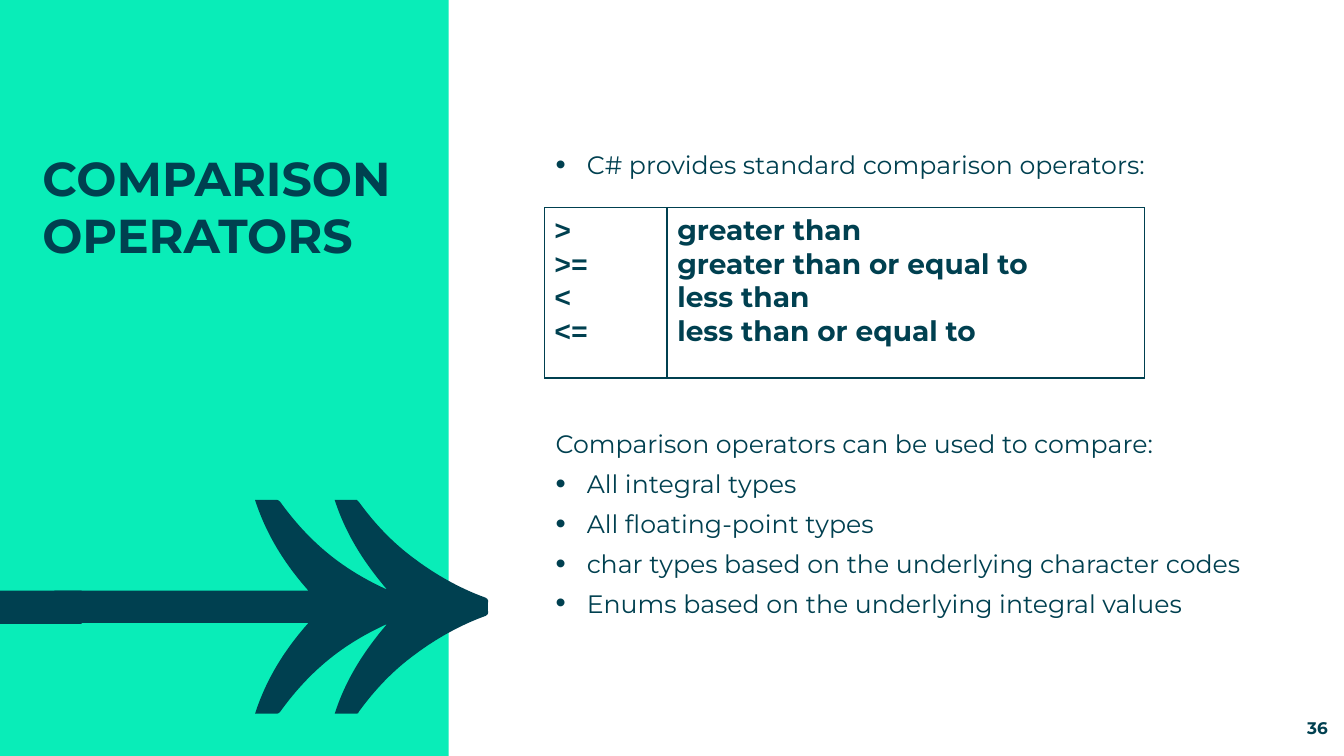
"""Build the slide on C# comparison operators."""
from lxml.etree import SubElement
from pptx import Presentation
from pptx.dml.color import RGBColor
from pptx.enum.shapes import MSO_SHAPE
from pptx.enum.text import MSO_ANCHOR, MSO_AUTO_SIZE, PP_ALIGN
from pptx.oxml.ns import qn
from pptx.util import Inches, Pt

COLORS = {"mint": "09EDB8", "teal": "004050", "white": "FFFFFF"}
FONT = "Montserrat"


def paint(shape, fill, line=None):
    shape.shadow.inherit = False
    shape.fill.solid()
    shape.fill.fore_color.rgb = RGBColor.from_string(COLORS[fill])
    if line:
        shape.line.color.rgb = RGBColor.from_string(COLORS[line])
        shape.line.width = Pt(1)
    else:
        shape.line.fill.background()


def format_text(shape, size, bold, font=FONT, margins=(0, 0), anchor=MSO_ANCHOR.TOP,
                align=PP_ALIGN.LEFT):
    frame = shape.text_frame
    frame.word_wrap = True
    frame.auto_size = MSO_AUTO_SIZE.NONE
    frame.vertical_anchor = anchor
    frame.margin_left = frame.margin_right = Inches(margins[0])
    frame.margin_top = frame.margin_bottom = Inches(margins[1])
    for paragraph in frame.paragraphs:
        paragraph.alignment = align
        for run in paragraph.runs:
            run.font.name = font
            run.font.size = Pt(size)
            run.font.bold = bold
            run.font.color.rgb = RGBColor.from_string(COLORS["teal"])


presentation = Presentation()
presentation.slide_width = Inches(13.33)
presentation.slide_height = Inches(7.5)
slide = presentation.slides.add_slide(presentation.slide_layouts[1])
shapes = slide.shapes
title, body = slide.placeholders

for left, top, width, height in [(0, 0, 4.45, 7.5), (0.83, 0.84, 0.42, 0.12)]:
    panel = shapes.add_shape(MSO_SHAPE.RECTANGLE, Inches(left), Inches(top),
                             Inches(width), Inches(height))
    paint(panel, "mint")

arrow_left, arrow_top, arrow_right, arrow_axis = 0.54, 4.96, 4.84, 6.02
arrow_bottom = 2 * arrow_axis - arrow_top
upper_curves = [
    [(3.06, 5.86), (2.82, 5.59), (2.64, 5.3), (2.53, 4.96)],
    [(2.75, 4.96), (2.76, 4.96), (2.77, 4.97), (2.78, 4.98)],
    [(2.78, 4.98), (2.91, 5.16), (3.06, 5.33), (3.24, 5.48)],
    [(3.24, 5.48), (3.42, 5.63), (3.62, 5.75), (3.84, 5.85)],
    [(3.84, 5.85), (3.61, 5.58), (3.43, 5.3), (3.32, 4.96)],
    [(3.54, 4.96), (3.55, 4.96), (3.56, 4.97), (3.56, 4.98)],
    [(3.56, 4.98), (3.72, 5.2), (3.9, 5.39), (4.12, 5.55)],
    [(4.12, 5.55), (4.32, 5.7), (4.55, 5.83), (4.79, 5.92)],
    [(4.79, 5.92), (4.83, 5.93), (4.85, 5.95), (4.84, 5.98)],
]
lower_curves = [[(x, 2 * arrow_axis - y) for x, y in reversed(curve)]
                for curve in reversed(upper_curves)]
segments = [("moveTo", [(arrow_left, 5.86)])]
for curve in upper_curves + lower_curves:
    if segments[-1][1][-1] != curve[0]:
        segments.append(("lnTo", curve[:1]))
    segments.append(("cubicBezTo", curve[1:]))
segments += [("lnTo", [(arrow_left, 6.18)]), ("close", [])]

builder = shapes.build_freeform(Inches(arrow_left), Inches(arrow_top))
builder.add_line_segments([(Inches(arrow_right), Inches(arrow_top)),
                           (Inches(arrow_right), Inches(arrow_bottom)),
                           (Inches(arrow_left), Inches(arrow_bottom))])
arrow = builder.convert_to_shape()
paint(arrow, "teal")
outline = next(arrow._element.iter(qn("a:path")))
for child in list(outline):
    outline.remove(child)
for command, points in segments:
    segment = SubElement(outline, qn(f"a:{command}"))
    for x, y in points:
        SubElement(segment, qn("a:pt"), x=str(Inches(x - arrow_left)),
                   y=str(Inches(y - arrow_top)))

shaft = shapes.add_shape(MSO_SHAPE.RECTANGLE, 0, Inches(5.86), Inches(0.81), Inches(0.33))
paint(shaft, "teal")

title.left, title.top, title.width, title.height = map(Inches, (0.42, 1.48, 3.77, 3.01))
title.text_frame.text = "COMPARISON OPERATORS"
format_text(title, 34, True)
shapes._spTree.append(title._element)

page_number = shapes.add_textbox(Inches(12.31), Inches(7.12), Inches(0.86), Inches(0.2))
page_number.text_frame.text = "36"
format_text(page_number, 12, True, anchor=MSO_ANCHOR.BOTTOM, align=PP_ALIGN.RIGHT)

intro = "Comparison operators can be used to compare:"
body.left, body.top, body.width, body.height = map(Inches, (5.51, 1.48, 7.4, 5.6))
body.text_frame.text = "\n".join([
    "C# provides standard comparison operators:",
    intro,
    "All integral types",
    "All floating-point types",
    "char types based on the underlying character codes",
    "Enums based on the underlying integral values",
])
format_text(body, 18, False)
for paragraph in body.text_frame.paragraphs:
    is_intro = paragraph.text == intro
    paragraph.line_spacing = Pt(22)
    paragraph.space_before = Pt(170.5 if is_intro else 0)
    paragraph.space_after = Pt(6.5)
    properties = paragraph._p.get_or_add_pPr()
    indent = 0 if is_intro else Inches(0.31)
    properties.set("marL", str(indent))
    properties.set("indent", str(-indent))
    if is_intro:
        SubElement(properties, qn("a:buNone"))
    else:
        SubElement(properties, qn("a:buSzPct"), val="115000")
        SubElement(properties, qn("a:buChar"), char="•")
shapes._spTree.append(body._element)

operators = {
    ">": "greater than",
    ">=": "greater than or equal to",
    "<": "less than",
    "<=": "less than or equal to",
}
operator_boxes = [
    (5.4, 5.95, [], FONT),
    (6.62, 4.73, operators.values(), FONT),
    (5.4, 1.21, operators.keys(), "Courier New"),
]
for left, width, lines, font in operator_boxes:
    box = shapes.add_shape(MSO_SHAPE.RECTANGLE, Inches(left), Inches(2.06),
                           Inches(width), Inches(1.69))
    paint(box, "white", line="teal")
    if lines:
        box.text_frame.text = "\n".join(lines)
        format_text(box, 20, True, font, margins=(0.1, 0.05))
        for paragraph in box.text_frame.paragraphs:
            paragraph.line_spacing = Pt(24)

presentation.save("out.pptx")
